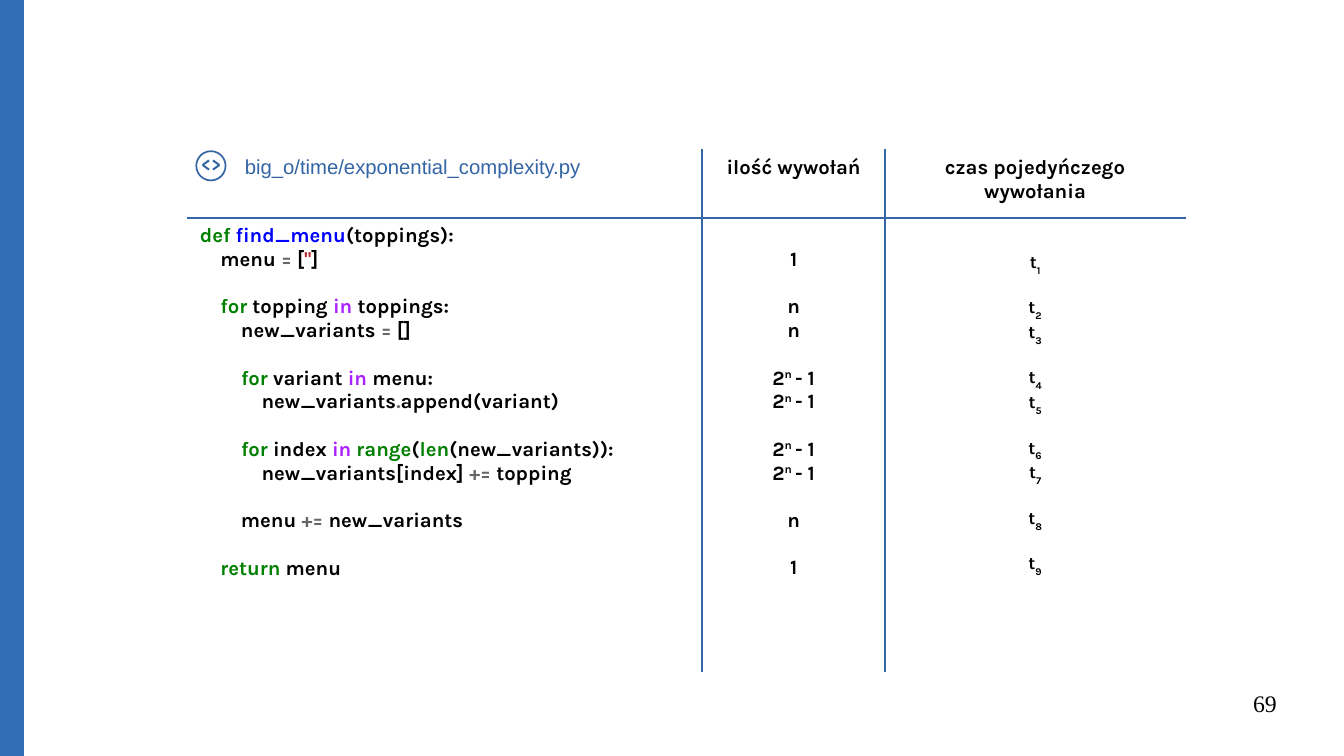
from lxml import etree
from pptx import Presentation
from pptx.dml.color import RGBColor
from pptx.enum import shapes, text
from pptx.oxml import ns
from pptx.util import Cm, Pt

BLUE, BLACK, WHITE = "3465A4", "000000", "FFFFFF"
KEYWORD, NAME, OPERATOR, MEMBER, STRING = "008000", "0000FF", "666666", "AA22FF", "BA2121"
KARLA = dict(name="Karla", size=Pt(12), bold=True)
KARLA_SMALL = dict(KARLA, size=Pt(10.5))
ARIAL = dict(name="Arial", size=Pt(12), bold=False)
SUPER, SUB = 33000, -33000

SIGNATURE = [("def ", KEYWORD), ("find_menu", NAME), ("(toppings):", BLACK)]
POWER = [("2", 0), ("n ", SUPER), ("- 1", 0)]
ONCE, LINEAR = [("1", 0)], [("n", 0)]
# Each step: blank line before it, code, number of calls
STEPS = [
    (False, [("    menu ", BLACK), ("=", OPERATOR), (" [", BLACK), ("''", STRING), ("]", BLACK)], ONCE),
    (True, [("    ", BLACK), ("for", KEYWORD), (" topping ", BLACK), ("in", MEMBER),
            (" toppings:", BLACK)], LINEAR),
    (False, [("        new_variants ", BLACK), ("=", OPERATOR), (" []", BLACK)], LINEAR),
    (True, [("        ", BLACK), ("for", KEYWORD), (" variant ", BLACK), ("in", MEMBER),
            (" menu:", BLACK)], POWER),
    (False, [("            new_variants", BLACK), (".", OPERATOR), ("append(variant)", BLACK)], POWER),
    (True, [("        ", BLACK), ("for", KEYWORD), (" index ", BLACK), ("in ", MEMBER),
            ("range", KEYWORD), ("(", BLACK), ("len", KEYWORD), ("(new_variants)):", BLACK)], POWER),
    (False, [("            new_variants[index] ", BLACK), ("+=", OPERATOR), (" topping", BLACK)], POWER),
    (True, [("        menu ", BLACK), ("+=", OPERATOR), (" new_variants", BLACK)], LINEAR),
    (True, [("    ", BLACK), ("return", KEYWORD), (" menu", BLACK)], ONCE),
]


def rgb(value):
    return RGBColor.from_string(value)


def write_run(paragraph, words, style, color=BLACK, baseline=0):
    run = paragraph.add_run()
    run.text = words
    for key, value in style.items():
        setattr(run.font, key, value)
    run.font.color.rgb = rgb(color)
    if baseline:
        run._r.get_or_add_rPr().set("baseline", str(baseline))


def write_lines(frame, lines, style, gap=0, align=text.PP_ALIGN.LEFT):
    """Write (blank line before, [(words, colour, baseline), ...]) lines."""
    for number, (spaced, pieces) in enumerate(lines):
        paragraph = frame.add_paragraph() if number else frame.paragraphs[0]
        paragraph.alignment = align
        if spaced:
            paragraph.space_before = Pt(gap)
        for words, color, baseline in pieces:
            write_run(paragraph, words, style, color, baseline)


def border(cell, sides):
    properties = cell._tc.get_or_add_tcPr()
    for side in sides:
        line = etree.SubElement(properties, ns.qn(f"a:ln{side}"), w=str(Pt(1.13)))
        fill = etree.SubElement(line, ns.qn("a:solidFill"))
        etree.SubElement(fill, ns.qn("a:srgbClr"), val=BLUE)


def add_side_bar(slide, left, top, width, height):
    bar = slide.shapes.add_shape(shapes.MSO_SHAPE.RECTANGLE, left, top, width, height)
    bar.shadow.inherit = False
    bar.fill.solid()
    bar.fill.fore_color.rgb = rgb("306DB3")
    bar.line.fill.background()


def add_cost_table(slide, left, top, width, height):
    header_height, calls_width, time_width = Cm(1.42), Cm(3.81), Cm(6.25)
    table = slide.shapes.add_table(2, 3, left, top, width, height).table
    table.first_row = table.horz_banding = False
    for column, size in zip(table.columns, (width - calls_width - time_width, calls_width, time_width)):
        column.width = size
    for row, size in zip(table.rows, (header_height, height - header_height)):
        row.height = size

    for row in range(2):
        for column in range(3):
            cell = table.cell(row, column)
            sides = ("L" if column else "") + ("R" if column < 2 else "") + ("T" if row else "B")
            border(cell, sides)
            cell.fill.solid()
            cell.fill.fore_color.rgb = rgb(WHITE)

    center = text.PP_ALIGN.CENTER
    file_cell = table.cell(0, 0)
    file_cell.margin_left = Cm(1.19)
    write_run(file_cell.text_frame.paragraphs[0], "big_o/time/exponential_complexity.py", ARIAL, BLUE)
    for column, heading in enumerate(("ilość wywołań", "czas pojedyńczego wywołania"), 1):
        write_lines(table.cell(0, column).text_frame, [(False, [(heading, BLACK, 0)])], KARLA, align=center)

    code = [(False, SIGNATURE)] + [(spaced, pieces) for spaced, pieces, _ in STEPS]
    code = [(spaced, [(words, color, 0) for words, color in pieces]) for spaced, pieces in code]
    calls = [(spaced, [(words, BLACK, shift) for words, shift in count]) for spaced, _, count in STEPS]
    times = [(spaced, [("t", BLACK, 0), (str(number), BLACK, SUB)])
             for number, (spaced, _, _) in enumerate(STEPS, 1)]
    code_cell, calls_cell, times_cell = table.rows[1].cells
    calls_cell.margin_top, times_cell.margin_top = Cm(0.62), Cm(0.71)
    write_lines(code_cell.text_frame, code, KARLA, 14)
    write_lines(calls_cell.text_frame, calls, KARLA, 14, center)
    write_lines(times_cell.text_frame, times, KARLA_SMALL, 12.3, center)


def add_code_icon(slide, left, top, diameter):
    icon = slide.shapes.add_group_shape()
    ring = icon.shapes.add_shape(shapes.MSO_SHAPE.OVAL, left, top, diameter, diameter)
    ring.shadow.inherit = False
    ring.fill.solid()
    ring.fill.fore_color.rgb = rgb(WHITE)
    ring.line.color.rgb = rgb(BLUE)
    ring.line.width = Pt(1)
    brackets = icon.shapes.add_textbox(left - Cm(0.15), top - Cm(0.08), Cm(0.94), Cm(0.79))
    brackets.text_frame.word_wrap = True
    brackets.text_frame.margin_right = 0
    write_run(brackets.text_frame.paragraphs[0], "<>", dict(KARLA, size=Pt(11)), BLUE)


def add_page_number(slide, left, top, width, height):
    frame = slide.shapes.add_textbox(left, top, width, height).text_frame
    frame.word_wrap = True
    for side in ("left", "top", "right", "bottom"):
        setattr(frame, f"margin_{side}", 0)
    write_lines(frame, [(False, [("69", BLACK, 0)])],
                dict(name="Times New Roman", size=Pt(14)), align=text.PP_ALIGN.RIGHT)


def main():
    deck = Presentation()
    deck.slide_width, deck.slide_height = Cm(28), Cm(15.75)
    slide = deck.slides.add_slide(deck.slide_layouts[6])
    add_side_bar(slide, 0, 0, Cm(0.5), deck.slide_height)
    add_cost_table(slide, Cm(3.91), Cm(3.12), Cm(20.78), Cm(10.89))
    add_code_icon(slide, Cm(4.09), Cm(3.15), Cm(0.61))
    add_page_number(slide, Cm(20.07), Cm(14.35), Cm(6.53), Cm(1.09))
    deck.save("out.pptx")


if __name__ == "__main__":
    main()
